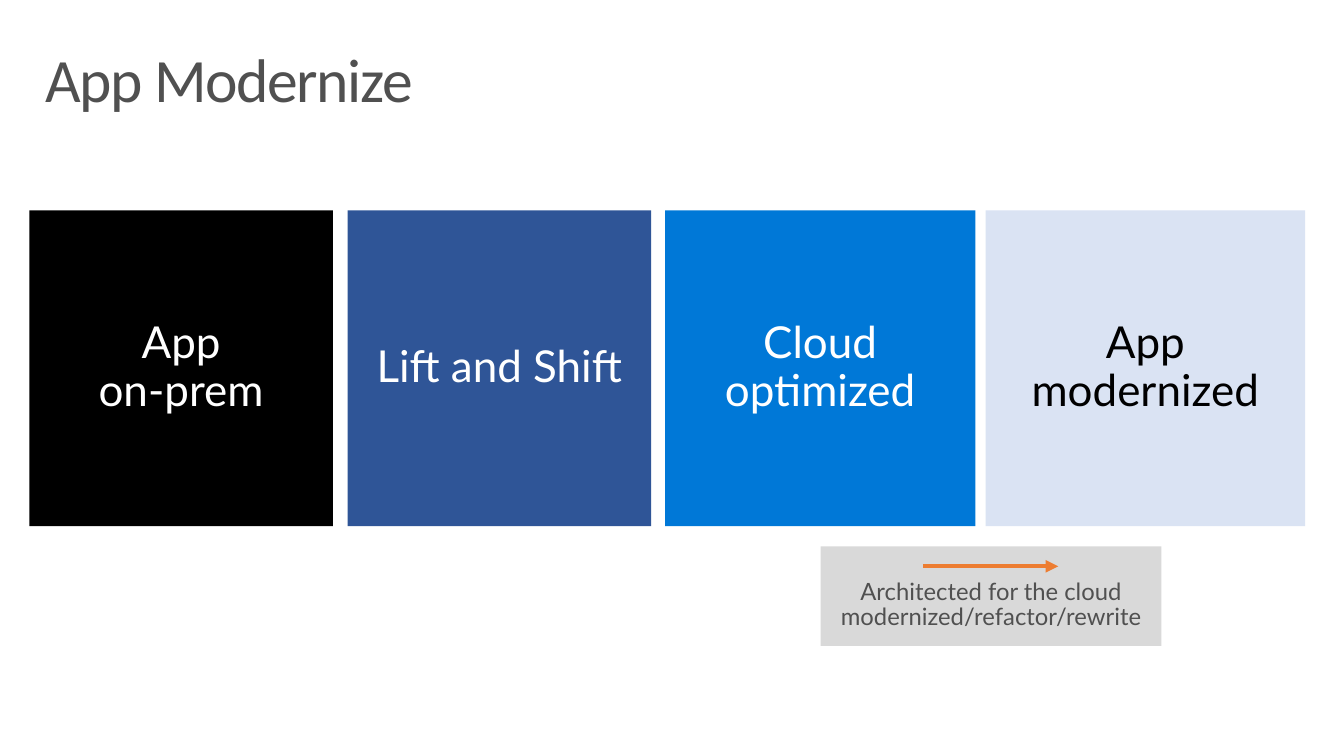
from lxml.etree import SubElement
from pptx import Presentation
from pptx.dml.color import RGBColor
from pptx.enum.shapes import MSO_CONNECTOR, MSO_SHAPE
from pptx.enum.text import MSO_ANCHOR, PP_ALIGN
from pptx.oxml.ns import qn
from pptx.util import Cm, Pt

BLACK = RGBColor(0x00, 0x00, 0x00)
WHITE = RGBColor(0xFF, 0xFF, 0xFF)
NAVY = RGBColor(0x2F, 0x55, 0x97)
BLUE = RGBColor(0x00, 0x78, 0xD7)
PALE_BLUE = RGBColor(0xDA, 0xE3, 0xF3)
LIGHT_GRAY = RGBColor(0xD9, 0xD9, 0xD9)
DARK_GRAY = RGBColor(0x50, 0x50, 0x50)
ORANGE = RGBColor(0xED, 0x7D, 0x31)

# Content: stage lines, left and width in cm, fill, text colour
TITLE = "App Modernize"
STAGES = [
    (["App", "on-prem"], 0.74, 7.65, BLACK, WHITE),
    (["Lift and Shift"], 8.76, 7.65, NAVY, WHITE),
    (["Cloud optimized"], 16.76, 7.82, BLUE, WHITE),
    (["App modernized"], 24.84, 8.05, PALE_BLUE, BLACK),
]
STAGE_TOP, STAGE_HEIGHT = 5.3, 7.96
CALLOUT = ["Architected for the cloud", "modernized/refactor/rewrite"]
CALLOUT_PLACE = (20.68, 13.77, 8.59, 2.51)
ARROW_LEFT, ARROW_RIGHT, ARROW_TOP = 23.27, 26.67, 14.27


def write_lines(frame, lines, size, font_name, color, align):
    frame.word_wrap = True
    for index, line in enumerate(lines):
        para = frame.paragraphs[0] if index == 0 else frame.add_paragraph()
        para.text = line
        para.alignment = align
        para.line_spacing = 0.9
        para.font.size = Pt(size)
        para.font.name = font_name
        para.font.color.rgb = color


def add_panel(page, place, lines, size, fill, color, anchor):
    panel = page.shapes.add_shape(MSO_SHAPE.RECTANGLE, *map(Cm, place))
    panel.shadow.inherit = False
    panel.fill.solid()
    panel.fill.fore_color.rgb = fill
    panel.line.fill.background()
    frame = panel.text_frame
    frame.margin_left = frame.margin_right = Cm(0.48)
    frame.margin_top = frame.margin_bottom = Cm(0.38)
    frame.vertical_anchor = anchor
    write_lines(frame, lines, size, "Lato", color, PP_ALIGN.CENTER)


deck = Presentation()
deck.slide_width, deck.slide_height = Cm(33.87), Cm(19.05)
page = deck.slides.add_slide(deck.slide_layouts[6])

# Title, with slightly tightened letters
title = page.shapes.add_textbox(Cm(0.89), Cm(0.81), Cm(32.28), Cm(2.54))
title.text_frame.vertical_anchor = MSO_ANCHOR.MIDDLE
write_lines(title.text_frame, [TITLE], 44, "Calibri", DARK_GRAY, PP_ALIGN.LEFT)
title.text_frame.paragraphs[0].runs[0].font._element.set("spc", "-100")

# Stages
for lines, left, width, fill, color in STAGES:
    add_panel(page, (left, STAGE_TOP, width, STAGE_HEIGHT), lines, 31.4,
              fill, color, MSO_ANCHOR.MIDDLE)

# Callout with its arrow
add_panel(page, CALLOUT_PLACE, CALLOUT, 17, LIGHT_GRAY, DARK_GRAY,
          MSO_ANCHOR.BOTTOM)
arrow = page.shapes.add_connector(
    MSO_CONNECTOR.STRAIGHT, Cm(ARROW_LEFT), Cm(ARROW_TOP),
    Cm(ARROW_RIGHT), Cm(ARROW_TOP))
arrow.line.color.rgb = ORANGE
arrow.line.width = Pt(3)
SubElement(arrow.line._get_or_add_ln(), qn("a:tailEnd"), type="triangle")
SubElement(arrow._element.spPr, qn("a:effectLst"))

deck.save("out.pptx")
